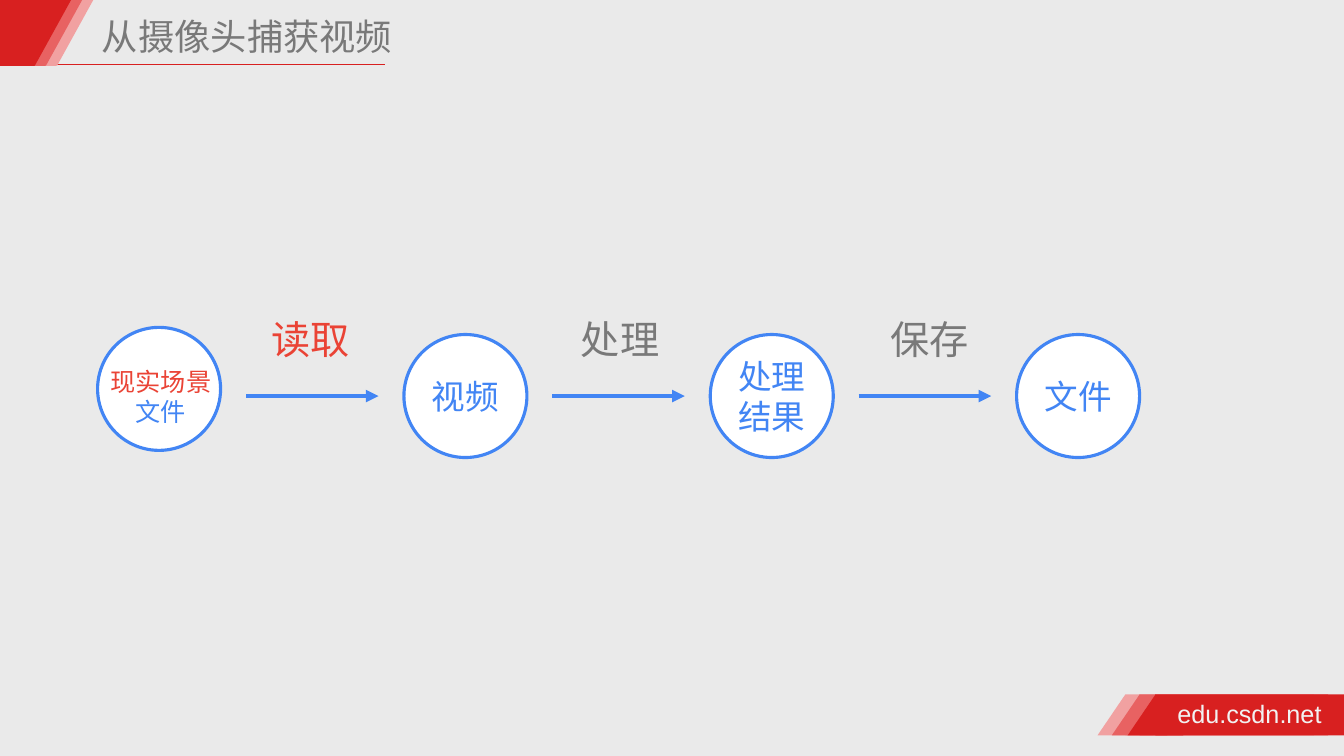
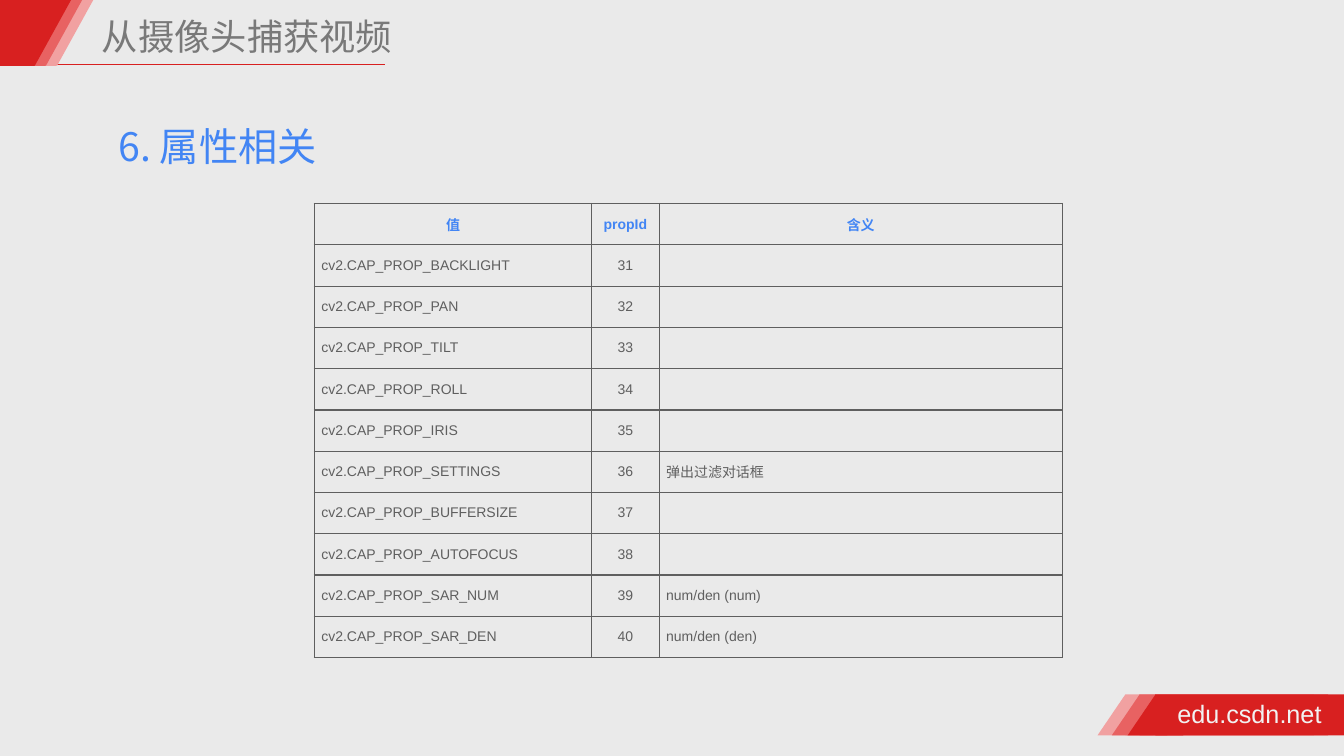
from lxml import etree
from pptx import Presentation
from pptx.dml.color import RGBColor
from pptx.enum import shapes as kinds, text as tx
from pptx.oxml import ns
from pptx.util import Cm, Pt

# Shared look
PAPER = RGBColor(0xEA, 0xEA, 0xEA)
WHITE = RGBColor(0xFF, 0xFF, 0xFF)
PALE = RGBColor(0xF2, 0xF2, 0xF2)
RED = RGBColor(0xD8, 0x20, 0x20)
CORAL = RGBColor(0xE8, 0x62, 0x62)
PINK = RGBColor(0xF1, 0xA1, 0xA1)
ALERT = RGBColor(0xEA, 0x43, 0x35)
BLUE = RGBColor(0x42, 0x85, 0xF4)
GREY = RGBColor(0x79, 0x79, 0x79)
DARK = RGBColor(0x5F, 0x5F, 0x5F)
HAN, LATIN = "Noto Sans CJK SC", "Arial"
LEFT, MID, JUST = tx.PP_ALIGN.LEFT, tx.PP_ALIGN.CENTER, tx.PP_ALIGN.JUSTIFY
TITLE = "从摄像头捕获视频"
BANDS = (PINK, CORAL, RED)

HEAD = ("值", "propId", "含义")
PROPS = ("BACKLIGHT", "PAN", "TILT", "ROLL", "IRIS", "SETTINGS",
         "BUFFERSIZE", "AUTOFOCUS", "SAR_NUM", "SAR_DEN")
NOTES = {"SETTINGS": "弹出过滤对话框", "SAR_NUM": "num/den (num)",
         "SAR_DEN": "num/den (den)"}


def style(item, form):
    for name, value in form.items():
        setattr(item, name, value)


def sub(node, tag, **attrs):
    return etree.SubElement(node, ns.qn(tag), attrs)


def box(*sides):
    return [Cm(side) for side in sides]


# Text
def write(frame, lines, size, face=HAN, align=LEFT, inset=0.13, wrap=True):
    """Fill a frame with (text, colour) lines, centred in height."""
    style(frame, dict(word_wrap=wrap, auto_size=tx.MSO_AUTO_SIZE.NONE,
                      vertical_anchor=tx.MSO_ANCHOR.MIDDLE,
                      margin_left=Cm(inset), margin_right=Cm(inset),
                      margin_top=Cm(0.13), margin_bottom=Cm(0.13)))
    for i, (words, color) in enumerate(lines):
        para = frame.add_paragraph() if i else frame.paragraphs[0]
        style(para, dict(alignment=align, line_spacing=Pt(size * 1.2),
                         space_before=Pt(0)))
        letter(para, words, size, color, face)


def letter(para, words, size, color, face, bold=False):
    run = para.add_run()
    run.text = words
    style(run.font, dict(size=Pt(size), name=face, bold=bold))
    run.font.color.rgb = color
    sub(run.font._element, "a:ea", typeface=HAN)


def label(page, place, lines, size, **form):
    area = page.shapes.add_textbox(*box(*place))
    write(area.text_frame, lines, size, **form)


# Shapes
def solid(page, kind, place, color, edge=None, turn=0):
    item = page.shapes.add_shape(kind, *box(*place))
    item.shadow.inherit = False
    item.rotation = turn
    item.fill.solid()
    item.fill.fore_color.rgb = color
    if edge:
        item.line.color.rgb = edge
        item.line.width = Pt(2.25)
    else:
        item.line.fill.background()
    return item


def line(page, x, end, y, color, width, arrow=False):
    rule = page.shapes.add_connector(
        kinds.MSO_CONNECTOR.STRAIGHT, *box(x, y, end, y))
    rule.line.color.rgb = color
    rule.line.width = Pt(width)
    if arrow:
        sub(rule.line._get_or_add_ln(), "a:tailEnd", type="triangle")
    sub(rule._element.spPr, "a:effectLst")


def band(page, color, x, y, wide, high, body, turn=0):
    """Slanted band: a triangle, and a bar of its own width."""
    start = x if turn else x + wide / 2
    for kind, place in (
            (kinds.MSO_SHAPE.RECTANGLE, (start, y, body, high)),
            (kinds.MSO_SHAPE.ISOSCELES_TRIANGLE, (x, y, wide, high))):
        solid(page, kind, place, color, turn=turn)


# Slide frame
def start(deck):
    page = deck.slides.add_slide(deck.slide_layouts[5])
    line(page, 1.24, 9.7, 1.63, RED, 1)
    for x, color in zip((27.66, 28.02, 28.42), BANDS):
        band(page, color, x, 17.5, 1.4, 1.03, 4.75)
    for i, color in enumerate(BANDS):
        band(page, color, 0.52 - 0.28 * i, 0, 1.83, 1.66, 0.91, 180)
    label(page, (29.54, 17.48, 3.94, 1.02), [("edu.csdn.net", PALE)], 18,
          face=LATIN, wrap=False)
    title = page.shapes.title
    style(title, dict(zip(("left", "top", "width", "height"),
                          box(2.44, 0.21, 9.8, 1.42))))
    write(title.text_frame, [(TITLE, GREY)], 25.9)
    return page


# Slide 1: flow
def flow(deck):
    page = start(deck)
    step, size = 7.72, 3.1
    for i, words in enumerate(("", "视频", "处理结果", "文件")):
        y = 8.43 if i else 8.25
        ring = solid(page, kinds.MSO_SHAPE.OVAL,
                     (2.46 + step * i, y, size, size), WHITE, BLUE)
        if words:
            write(ring.text_frame, [(words, BLUE)], 24, align=MID)
    label(page, (2.24, 9.09, 3.63, 1.8),
          [("现实场景", ALERT), ("文件", BLUE)], 18, align=MID, inset=0.25)
    for i, (words, color) in enumerate(
            (("读取", ALERT), ("处理", GREY), ("保存", GREY))):
        x = 6.2 + step * i
        line(page, x, x + 3.34, 9.98, BLUE, 3, arrow=True)
        label(page, (6.71 + 7.8 * i, 7.9, 2.26, 1.3), [(words, color)], 28,
              wrap=False)


# Slide 2: table
def border(cell):
    props = cell._tc.get_or_add_tcPr()
    for i, side in enumerate("LRTB"):
        edge = etree.Element(ns.qn("a:ln" + side), w=str(Pt(1)))
        sub(sub(edge, "a:solidFill"), "a:srgbClr", val=str(DARK))
        props.insert(i, edge)


def fill(cell, words, align, color, bold):
    style(cell, dict(vertical_anchor=tx.MSO_ANCHOR.MIDDLE,
                     margin_left=Cm(0.18), margin_right=Cm(0.18),
                     margin_top=0, margin_bottom=0))
    cell.fill.background()
    border(cell)
    para = cell.text_frame.paragraphs[0]
    para.alignment = align
    if words:
        letter(para, words, 10, color, LATIN, bold)
    else:
        para.font.size = Pt(10)


def grid(page, rows, widths, x, y, high):
    table = page.shapes.add_table(
        len(rows), len(widths),
        *box(x, y, sum(widths), high * len(rows))).table
    style(table, dict(first_row=False, horz_banding=False))
    for col, wide in zip(table.columns, widths):
        col.width = Cm(wide)
    for r, row in enumerate(rows):
        table.rows[r].height = Cm(high)
        for c, words in enumerate(row):
            align = MID if r == 0 or c == 1 else JUST
            fill(table.cell(r, c), words, align, DARK if r else BLUE, r == 0)


def props(deck):
    page = start(deck)
    label(page, (2.74, 2.95, 16.97, 1.45), [("6. 属性相关", BLUE)], 28,
          inset=0.25)
    rows = [HEAD] + [("cv2.CAP_PROP_" + name, str(num), NOTES.get(name, ""))
                     for num, name in enumerate(PROPS, 31)]
    grid(page, rows, (6.99, 1.7, 10.16), 7.92, 5.13, 1.04)


def main():
    deck = Presentation()
    style(deck, dict(slide_width=Cm(33.87), slide_height=Cm(19.05)))
    back = deck.slide_master.background.fill
    back.solid()
    back.fore_color.rgb = PAPER
    flow(deck)
    props(deck)
    deck.save("out.pptx")


if __name__ == "__main__":
    main()
